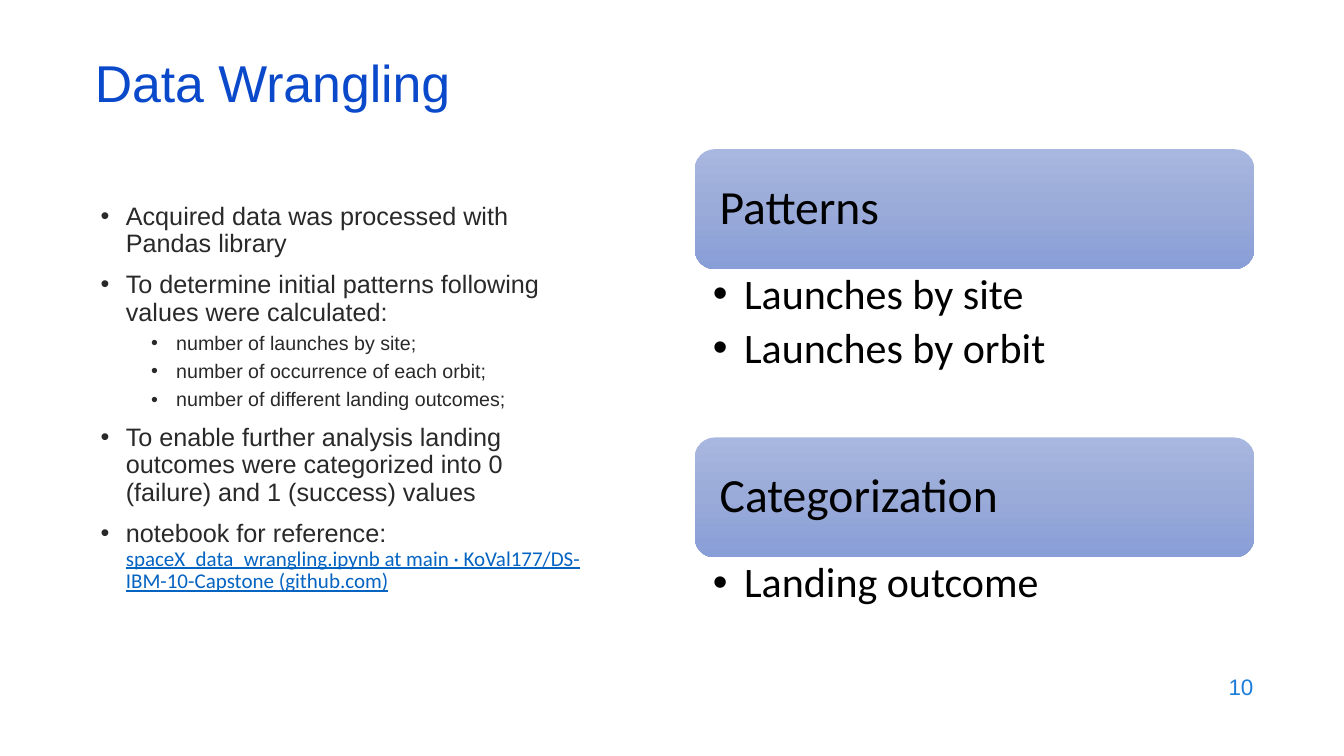
from copy import deepcopy

from lxml.etree import SubElement
from pptx import Presentation
from pptx.dml.color import RGBColor
from pptx.enum.shapes import MSO_SHAPE as Shape
from pptx.enum.text import MSO_ANCHOR as Anchor, MSO_AUTO_SIZE as AutoSize, PP_ALIGN as Align
from pptx.oxml.ns import qn
from pptx.util import Inches, Pt


def rgb(value):
    return RGBColor.from_string(value)


class WranglingSlide:
    heading_font = "Arial"
    diagram_font = "Calibri"
    blue, page_blue, link_blue = "0B49CB", "1C7DDB", "0563C1"
    ink, black = "292929", "000000"
    band_stops = ((0, "A8B7DF"), (0.5, "9AABD9"), (1, "889ED7"))

    def __init__(self, deck):
        self.slide = deck.slides.add_slide(deck.slide_layouts[5])

    def frame(self, shape, anchor, insets=(0.1, 0.05, 0.1, 0.05)):
        frame = shape.text_frame
        frame.word_wrap = True
        frame.auto_size = AutoSize.NONE
        frame.vertical_anchor = anchor
        (frame.margin_left, frame.margin_top,
         frame.margin_right, frame.margin_bottom) = map(Inches, insets)
        return frame

    def box(self, place, anchor=Anchor.TOP, **options):
        return self.frame(self.slide.shapes.add_textbox(*map(Inches, place)), anchor, **options)

    def run(self, paragraph, text, size, font, color, underline=None):
        run = paragraph.add_run()
        run.text = text
        run.font.size = Pt(size)
        run.font.name = font
        run.font.color.rgb = rgb(color)
        run.font.underline = underline

    def paragraph(self, frame, align=Align.LEFT, spacing=0.9, before=0, after=0):
        first = not frame.paragraphs[0].runs
        paragraph = frame.paragraphs[0] if first else frame.add_paragraph()
        paragraph.alignment = align
        paragraph.line_spacing = spacing
        paragraph.space_before = Pt(0 if first else before)
        paragraph.space_after = Pt(after)
        return paragraph

    def bullet(self, frame, indent, hanging, level=0, **spacing):
        paragraph = self.paragraph(frame, **spacing)
        paragraph.level = level
        properties = paragraph._p.get_or_add_pPr()
        properties.set("marL", str(Inches(indent)))
        properties.set("indent", str(-Inches(hanging)))
        SubElement(properties, qn("a:buFont")).set("typeface", "Arial")
        SubElement(properties, qn("a:buChar")).set("char", "•")
        return paragraph

    def title(self, text, place):
        title = self.slide.shapes.title
        title.left, title.top, title.width, title.height = map(Inches, place)
        line = self.paragraph(self.frame(title, Anchor.MIDDLE), spacing=0.7)
        self.run(line, text, 37, self.heading_font, self.blue)

    def page_number(self, text, place):
        line = self.paragraph(self.box(place, Anchor.MIDDLE), Align.RIGHT, spacing=1)
        self.run(line, text, 16, self.heading_font, self.page_blue)

    def steps(self, items, place, reference):
        frame = self.box(place)
        for level, text in items:
            indent, before, size = ((0.25, 10, 18), (0.75, 5, 14))[level]
            line = self.bullet(frame, indent, 0.25, level, before=before)
            self.run(line, text, size, self.heading_font, self.ink)
        self.run(line, reference, 15, self.diagram_font, self.link_blue, True)

    def band(self, text, place):
        band = self.slide.shapes.add_shape(Shape.ROUNDED_RECTANGLE, *map(Inches, place))
        band.shadow.inherit = False
        band.line.fill.background()
        band.fill.gradient()
        band.fill.gradient_angle = 270
        first = band.fill.gradient_stops[0]._gs
        first.addnext(deepcopy(first))
        for stop, (position, color) in zip(band.fill.gradient_stops, self.band_stops):
            stop.position = position
            stop.color.rgb = rgb(color)
        frame = self.frame(band, Anchor.MIDDLE, (0.19, 0.2, 0.2, 0.2))
        self.run(self.paragraph(frame), text, 34, self.diagram_font, self.black)

    def section(self, heading, points, top, list_height):
        left, width, band_height = 6.89, 5.55, 1.19
        self.band(heading, (left, top, width, band_height))
        frame = self.box((left, top + band_height, width, list_height),
                         insets=(0.18, 0.04, 0.23, 0.04))
        for point in points:
            line = self.bullet(frame, 0.31, 0.31, 1, after=6)
            self.run(line, point, 30, self.diagram_font, self.black)


def main():
    deck = Presentation()
    deck.slide_width, deck.slide_height = Inches(13.33), Inches(7.5)
    page = WranglingSlide(deck)
    page.title("Data Wrangling", (0.84, 0.59, 11.5, 0.6))
    page.steps(
        (
            (0, "Acquired data was processed with Pandas library"),
            (0, "To determine initial patterns following values were calculated:"),
            (1, "number of launches by site;"),
            (1, "number of occurrence of each orbit;"),
            (1, "number of different landing outcomes;"),
            (0, "To enable further analysis landing outcomes were categorized into "
                "0 (failure) and 1 (success) values"),
            (0, "notebook for reference: "),
        ),
        (0.9, 1.97, 5.07, 4.62),
        "spaceX_data_wrangling.ipynb at main · KoVal177/DS-IBM-10-Capstone (github.com)",
    )
    page.section("Patterns", ("Launches by site", "Launches by orbit"), 1.48, 1.67)
    page.section("Categorization", ("Landing outcome",), 4.34, 1.05)
    page.page_number("10", (9.53, 6.59, 3, 0.44))
    deck.save("out.pptx")


if __name__ == "__main__":
    main()
